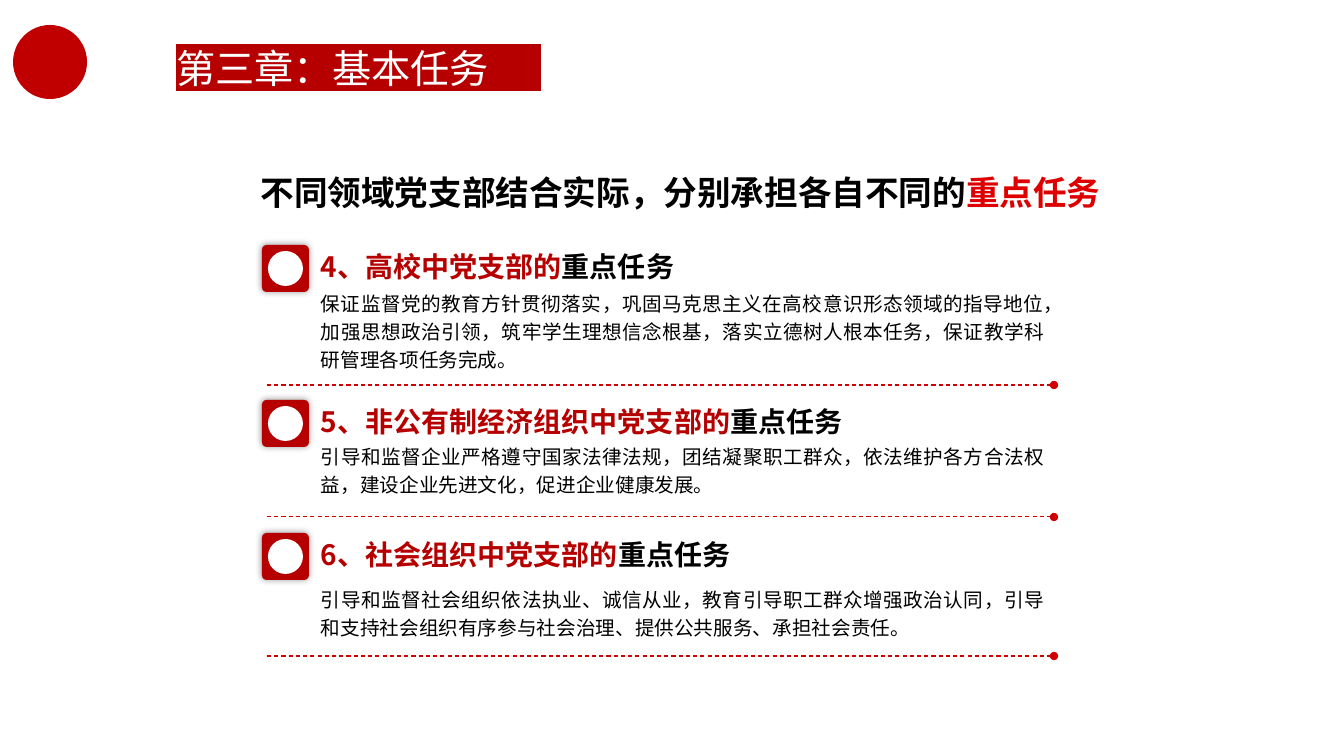
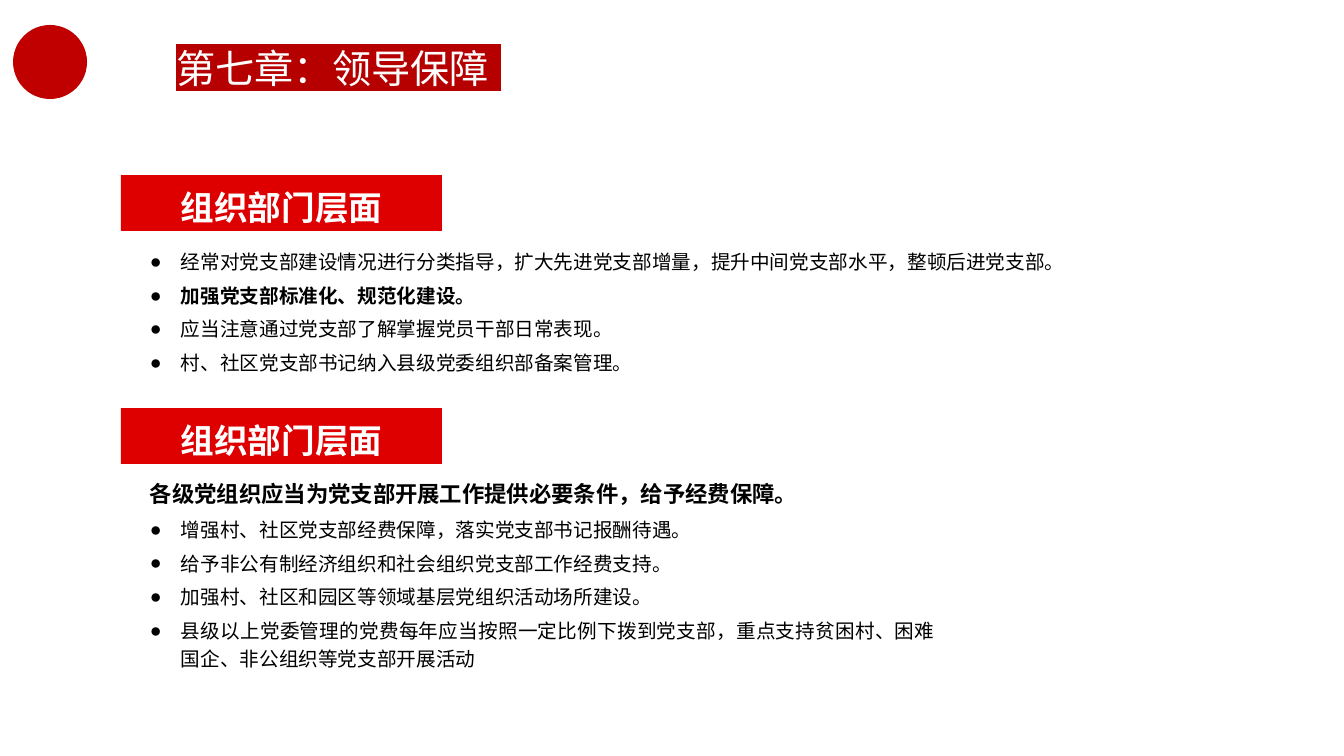
from dataclasses import dataclass

from lxml import etree
from pptx import Presentation
from pptx.dml.color import RGBColor
from pptx.enum.dml import MSO_LINE
from pptx.enum.shapes import MSO_CONNECTOR, MSO_SHAPE
from pptx.enum.text import MSO_ANCHOR, MSO_AUTO_SIZE, PP_ALIGN
from pptx.oxml.ns import qn
from pptx.util import Pt

LEFT, CENTER, JUSTIFY = PP_ALIGN.LEFT, PP_ALIGN.CENTER, PP_ALIGN.JUSTIFY
TOP, MIDDLE = MSO_ANCHOR.TOP, MSO_ANCHOR.MIDDLE
RECT, ROUND, OVAL = MSO_SHAPE.RECTANGLE, MSO_SHAPE.ROUNDED_RECTANGLE, MSO_SHAPE.OVAL


@dataclass(frozen=True)
class Theme:
    emblem: str = "C00000"
    deep_red: str = "B60000"
    bright_red: str = "DE0000"
    rule_red: str = "D10000"
    black: str = "000000"
    white: str = "FFFFFF"
    cjk: str = "Noto Sans CJK SC"
    latin: str = "Arial"
    title: int = 28
    heading: int = 24
    task: int = 20
    intro: int = 16
    body: int = 14
    spacing: float = 1.2


T = Theme()
SCALE = 914400 / 100.8  # EMU in one px
SLIDE_W, SLIDE_H = 1344, 756

# Content: a paragraph is a list of (text, colour, bold) runs
TASKS_TITLE = "第三章：基本任务"
TASKS_HEADING = [
    ("不同领域党支部结合实际，分别承担各自不同的", T.black, True),
    ("重点任务", T.bright_red, True),
]
TASK_SUFFIX = "重点任务"
TASKS = [  # heading, body, then tops of heading, body and rule
    ("4、高校中党支部的",
     "保证监督党的教育方针贯彻落实，巩固马克思主义在高校意识形态领域的指导地位，"
     "加强思想政治引领，筑牢学生理想信念根基，落实立德树人根本任务，"
     "保证教学科研管理各项任务完成。",
     245, 282, 385),
    ("5、非公有制经济组织中党支部的",
     "引导和监督企业严格遵守国家法律法规，团结凝聚职工群众，依法维护各方合法权益，"
     "建设企业先进文化，促进企业健康发展。",
     400, 435, 517),
    ("6、社会组织中党支部的",
     "引导和监督社会组织依法执业、诚信从业，教育引导职工群众增强政治认同，"
     "引导和支持社会组织有序参与社会治理、提供公共服务、承担社会责任。",
     533, 578, 656),
]

SUPPORT_TITLE = "第七章：领导保障"
INTRO = "各级党组织应当为党支部开展工作提供必要条件，给予经费保障。"
SECTIONS = [  # band text, band top, list box, list of (text, bold)
    ("组织部门层面", 175, (140, 240, 1064, 139), [
        ("经常对党支部建设情况进行分类指导，扩大先进党支部增量，"
         "提升中间党支部水平，整顿后进党支部。", False),
        ("加强党支部标准化、规范化建设。", True),
        ("应当注意通过党支部了解掌握党员干部日常表现。", False),
        ("村、社区党支部书记纳入县级党委组织部备案管理。", False),
    ]),
    ("组织部门层面", 408, (140, 508, 805, 167), [
        ("增强村、社区党支部经费保障，落实党支部书记报酬待遇。", False),
        ("给予非公有制经济组织和社会组织党支部工作经费支持。", False),
        ("加强村、社区和园区等领域基层党组织活动场所建设。", False),
        ("县级以上党委管理的党费每年应当按照一定比例下拨到党支部，"
         "重点支持贫困村、困难国企、非公组织等党支部开展活动", False),
    ]),
]


def px(n):
    return round(n * SCALE)


def box(*lengths):
    return [px(n) for n in lengths]


def sub(parent, tag, **attrs):
    return etree.SubElement(parent, qn(tag), {k: str(v) for k, v in attrs.items()})


def write(tf, paras, size, font=T.cjk, align=LEFT, anchor=TOP, wrap=True,
          spacing=None, after=None, bullet=None, inset=None):
    """Fill a text frame with paragraphs of (text, colour, bold) runs."""
    tf.auto_size, tf.word_wrap, tf.vertical_anchor = MSO_AUTO_SIZE.NONE, wrap, anchor
    if inset is not None:
        tf.margin_left = tf.margin_right = tf.margin_top = tf.margin_bottom = px(inset)
    for i, runs in enumerate(paras):
        p = tf.add_paragraph() if i else tf.paragraphs[0]
        p.alignment = align
        if spacing:
            p.line_spacing = spacing
        if after:
            p.space_after = Pt(after)
        if bullet:
            pPr = p._p.get_or_add_pPr()
            pPr.set("marL", str(px(31)))
            pPr.set("indent", str(-px(31)))
            sub(pPr, "a:buFont", typeface=T.latin)
            sub(pPr, "a:buChar", char=bullet)
        for text, color, bold in runs:
            r = p.add_run()
            r.text = text
            r.font.size, r.font.bold, r.font.name = Pt(size), bold, font
            r.font.color.rgb = RGBColor.from_string(color)
            rPr = r._r.get_or_add_rPr()
            rPr.set("lang", "zh-CN")
            sub(rPr, "a:ea", typeface=T.cjk)


def add_text(s, bounds, paras, size, **fmt):
    write(s.shapes.add_textbox(*box(*bounds)).text_frame, paras, size, **fmt)


def add_block(s, kind, bounds, color):
    sp = s.shapes.add_shape(kind, *box(*bounds))
    sp.shadow.inherit = False
    sp.fill.solid()
    sp.fill.fore_color.rgb = RGBColor.from_string(color)
    sp.line.fill.background()
    return sp


def add_slide(prs, title, title_w):
    """Slide with the round emblem and the red chapter title."""
    s = prs.slides.add_slide(prs.slide_layouts[5])
    add_block(s, OVAL, (13, 25, 74, 74), T.emblem)
    sp = s.shapes.title
    sp.left, sp.top, sp.width, sp.height = box(176, 44, title_w, 47)
    sp.fill.solid()
    sp.fill.fore_color.rgb = RGBColor.from_string(T.deep_red)
    write(sp.text_frame, [[(title, T.white, False)]], T.title, anchor=MIDDLE, inset=0)
    return s


def add_badge(s, x, y):
    """Rounded red badge with a soft shadow and a white disc."""
    sp = add_block(s, ROUND, (x, y, 47, 47), T.deep_red)
    sp.adjustments[0] = 0.1
    effects = sp._element.spPr.find(qn("a:effectLst"))
    shadow = sub(effects, "a:outerShdw", blurRad=Pt(5), dist=0, dir=0, rotWithShape=0)
    sub(sub(shadow, "a:srgbClr", val=T.black), "a:alpha", val=40000)
    add_block(s, OVAL, (x + 6, y + 6, 35, 35), T.white)


def add_rule(s, y):
    """Dashed divider that ends in a dot."""
    c = s.shapes.add_connector(MSO_CONNECTOR.STRAIGHT, *box(267, y, 1054, y))
    c.line.color.rgb = RGBColor.from_string(T.rule_red)
    c.line.width, c.line.dash_style = Pt(0.75), MSO_LINE.DASH
    sub(c.line._get_or_add_ln(), "a:tailEnd", type="oval")
    sub(c._element.spPr, "a:effectLst")


def build_tasks(prs):
    s = add_slide(prs, TASKS_TITLE, 365)
    add_text(s, (246, 167, 869, 50), [TASKS_HEADING], T.heading, align=CENTER, wrap=False)
    for heading, body, top, body_top, rule_top in TASKS:
        add_badge(s, 262, top)
        add_text(s, (311, top, 560, 44),
                 [[(heading, T.deep_red, True), (TASK_SUFFIX, T.black, True)]],
                 T.task, wrap=False)
        add_text(s, (311, body_top, 743, rule_top - body_top), [[(body, T.black, False)]],
                 T.body, font=T.latin, align=JUSTIFY, spacing=T.spacing)
        add_rule(s, rule_top)


def build_support(prs):
    s = add_slide(prs, SUPPORT_TITLE, 325)
    for label, top, bounds, items in SECTIONS:
        band = add_block(s, RECT, (121, top, 321, 56), T.bright_red)
        write(band.text_frame, [[(label, T.white, True)]], T.heading,
              align=CENTER, anchor=MIDDLE, spacing=T.spacing)
        add_text(s, bounds, [[(text, T.black, bold)] for text, bold in items], T.body,
                 font=T.latin, align=JUSTIFY, spacing=T.spacing, after=4, bullet="●")
    add_text(s, (140, 470, 841, 40), [[(INTRO, T.black, True)]], T.intro,
             font=T.latin, align=JUSTIFY, spacing=T.spacing)


def main():
    prs = Presentation()
    prs.slide_width, prs.slide_height = box(SLIDE_W, SLIDE_H)
    build_tasks(prs)
    build_support(prs)
    prs.save("out.pptx")


if __name__ == "__main__":
    main()
